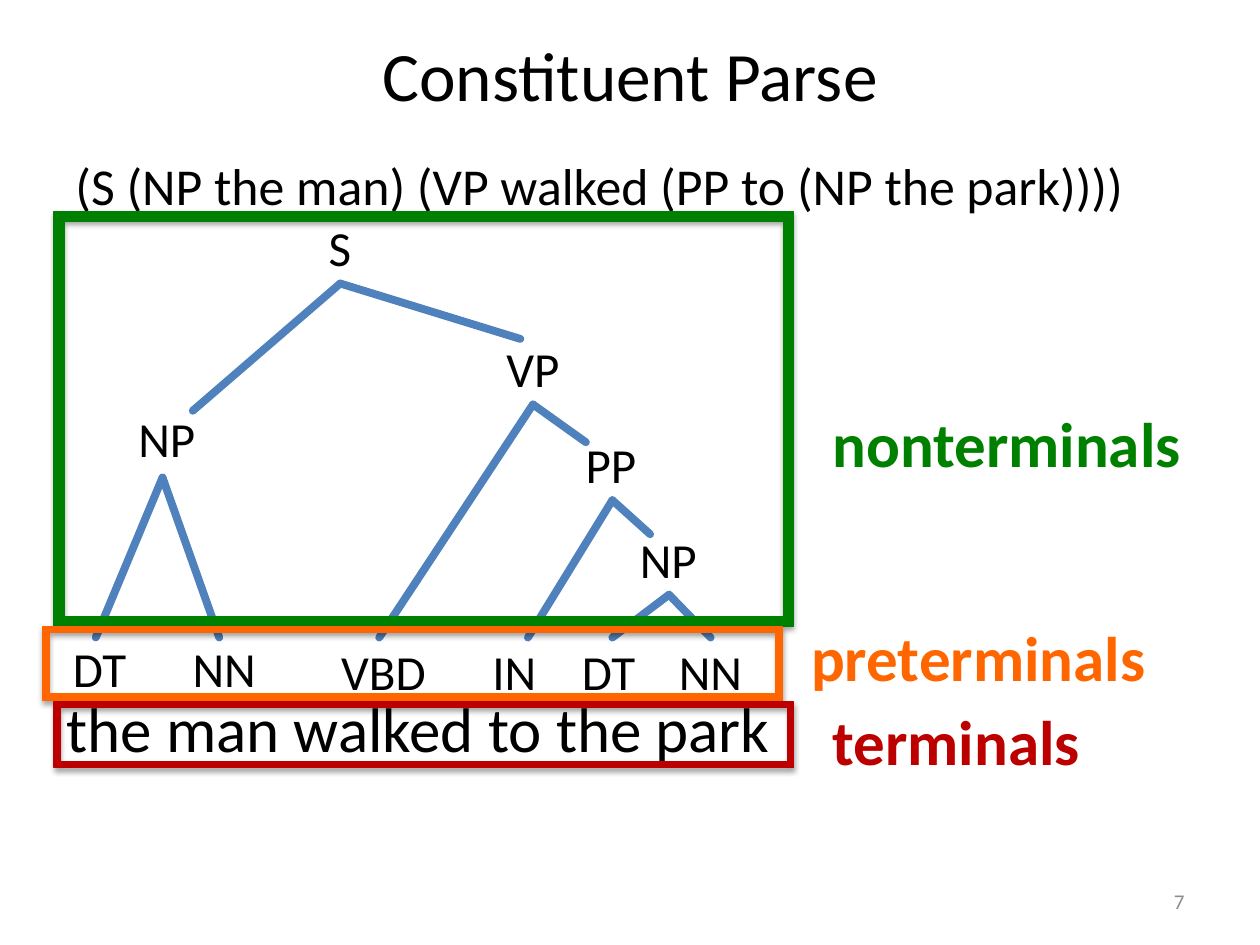
"""Build the slide that shows a constituent parse tree and its three node layers."""
from lxml import etree
from pptx import Presentation
from pptx.dml.color import RGBColor
from pptx.enum import shapes, text
from pptx.oxml import ns
from pptx.util import Inches, Pt

BLACK = RGBColor(0x00, 0x00, 0x00)
GRAY = RGBColor(0x8C, 0x8C, 0x8C)
BLUE = RGBColor(0x4F, 0x81, 0xBD)
GREEN = RGBColor(0x00, 0x80, 0x00)
ORANGE = RGBColor(0xFF, 0x66, 0x00)
RED = RGBColor(0xBC, 0x00, 0x00)
FONT = "Calibri"

TITLE = "Constituent Parse"
BRACKETS = "(S (NP the man) (VP walked (PP to (NP the park))))"
SENTENCE = "the man walked to the park"
LEAF_Y = 5.06
BRANCHES = [
    ((2.70, 2.25), [(1.53, 3.26), (4.13, 2.69)]),
    ((1.29, 3.79), [(0.76, LEAF_Y), (1.74, LEAF_Y)]),
    ((4.23, 3.21), [(3.01, LEAF_Y), (4.65, 3.51)]),
    ((4.86, 3.97), [(4.19, LEAF_Y), (5.16, 4.24)]),
    ((5.31, 4.72), [(4.86, LEAF_Y), (5.64, LEAF_Y)]),
]
NODES = [
    ("S", 2.51, 1.68, 0.38),
    ("NP", 1.00, 3.19, 0.66),
    ("NP", 4.98, 4.15, 0.66),
    ("VP", 3.92, 2.64, 0.63),
    ("PP", 4.55, 3.40, 0.61),
    ("DT", 0.48, 5.02, 0.63),
    ("NN", 1.43, 5.02, 0.71),
]
VERB_TAGS = ["VBD", "IN", "DT", "NN"]
TAG_STOPS = [1.20, 1.91, 2.68]
LAYERS = [
    ("nonterminals", GREEN, (6.51, 3.16, 3.00), (0.43, 1.68, 3.29), 0.024),
    ("preterminals", ORANGE, (6.34, 4.86, 2.90), (0.34, 4.97, 0.59), 0.088),
    ("terminals", RED, (6.51, 5.53, 2.19), (0.43, 5.57, 0.52), 0.088),
]
FRAME_W = 5.87


def add_run(p, words, size, color=BLACK, bold=False):
    r = p.add_run()
    r.text = words
    r.font.name, r.font.size, r.font.bold = FONT, Pt(size), bold
    r.font.color.rgb = color


def add_text(s, words, box, size, color=BLACK, bold=False, wrap=False):
    tf = s.shapes.add_textbox(*map(Inches, box)).text_frame
    tf.word_wrap = wrap
    add_run(tf.paragraphs[0], words, size, color, bold)
    return tf


def add_branch(s, start, end):
    line = s.shapes.add_connector(
        shapes.MSO_CONNECTOR.STRAIGHT, *map(Inches, start + end))
    line.line.color.rgb = BLUE
    line.line.width = Pt(4.5)
    sp_pr = line._element.spPr
    sp_pr.find(ns.qn("a:ln")).set("cap", "rnd")
    etree.SubElement(sp_pr, ns.qn("a:effectLst"))


def add_frame(s, left, top, height, color, thickness):
    sp = s.shapes.add_shape(
        shapes.MSO_SHAPE.FRAME, *map(Inches, (left, top, FRAME_W, height)))
    sp.adjustments[0] = thickness
    sp.fill.solid()
    sp.fill.fore_color.rgb = color
    sp.line.color.rgb = color
    sp.line.width = Pt(0.75)
    sp.shadow.inherit = False
    effects = sp._element.spPr.find(ns.qn("a:effectLst"))
    shadow = etree.SubElement(
        effects, ns.qn("a:outerShdw"), blurRad=str(Pt(3.1)),
        dist=str(Pt(1.8)), dir="5400000", rotWithShape="0")
    black = etree.SubElement(shadow, ns.qn("a:srgbClr"), val="000000")
    etree.SubElement(black, ns.qn("a:alpha"), val="35000")


def add_tag_row(s):
    tf = add_text(s, "\t".join(VERB_TAGS), (2.61, 5.04, 3.42, 0.57), 28, wrap=True)
    p_pr = tf.paragraphs[0]._p.get_or_add_pPr()
    tabs = etree.SubElement(p_pr, ns.qn("a:tabLst"))
    for stop in TAG_STOPS:
        etree.SubElement(tabs, ns.qn("a:tab"), pos=str(Inches(stop)), algn="l")


def main():
    prs = Presentation()
    prs.slide_width, prs.slide_height = Inches(10), Inches(7.5)
    s = prs.slides.add_slide(prs.slide_layouts[5])

    title = s.shapes.title
    title.left, title.top, title.width, title.height = map(
        Inches, (0.5, 0.19, 9, 0.79))
    tf = title.text_frame
    tf.vertical_anchor = text.MSO_ANCHOR.MIDDLE
    tf.paragraphs[0].alignment = text.PP_ALIGN.CENTER
    add_run(tf.paragraphs[0], TITLE, 39.6)

    add_text(s, BRACKETS, (0.5, 1.17, 9, 0.78), 29.6, wrap=True)
    tf = add_text(s, "7", (7.17, 6.95, 2.33, 0.4), 12, GRAY, wrap=True)
    tf.vertical_anchor = text.MSO_ANCHOR.MIDDLE
    tf.paragraphs[0].alignment = text.PP_ALIGN.RIGHT

    for parent, children in BRANCHES:
        for child in children:
            add_branch(s, parent, child)
    add_text(s, SENTENCE, (0.43, 5.42, 5.87, 0.71), 36)
    for label, left, top, width in NODES:
        add_text(s, label, (left, top, width, 0.57), 28)
    add_tag_row(s)

    for name, color, label_box, frame_box, thickness in LAYERS:
        add_text(s, name, (*label_box, 0.71), 36, color, bold=True)
        add_frame(s, *frame_box, color, thickness)
    prs.save("out.pptx")


if __name__ == "__main__":
    main()
